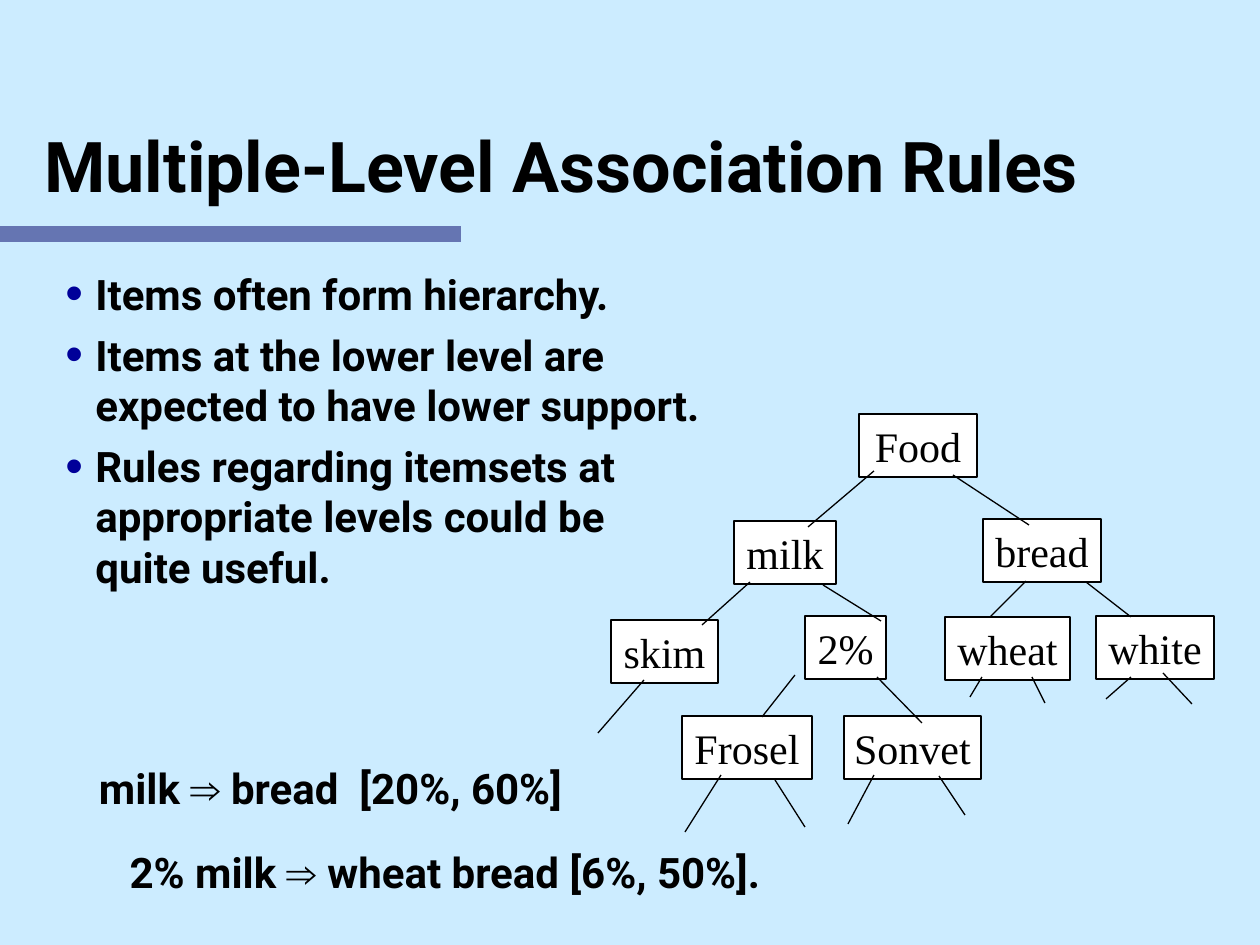
from pptx import Presentation
from pptx.dml.color import RGBColor
from pptx.enum.shapes import MSO_CONNECTOR as Link, MSO_SHAPE as Shape
from pptx.enum.text import MSO_ANCHOR as Anchor, MSO_AUTO_SIZE as Auto, PP_ALIGN as Align
from pptx.oxml.ns import qn
from pptx.util import Emu, Pt
from lxml.etree import SubElement

SCALE = 914400 / 126


def px(n):
    return Emu(round(n * SCALE))


def color(code):
    return RGBColor.from_string(code)


def setall(item, vals):
    for key, val in vals.items():
        setattr(item, key, val)


class Deck:
    ink = "000000"
    head = dict(name="Roboto", size=Pt(40), bold=True)
    body = dict(name="Roboto", size=Pt(24), bold=True)
    sign = dict(name="Arial", size=Pt(24), bold=True)
    node = dict(name="Times New Roman", size=Pt(24), bold=False)

    def __init__(self, wide, high):
        self.prs = Presentation()
        setall(self.prs, dict(slide_width=px(wide), slide_height=px(high)))

    def page(self, back):
        self.slide = self.prs.slides.add_slide(self.prs.slide_layouts[5])
        fill = self.slide.background.fill
        fill.solid()
        fill.fore_color.rgb = color(back)

    def run(self, para, text, font):
        run = para.add_run()
        run.text = text
        setall(run.font, font)
        run.font.color.rgb = color(self.ink)

    def title(self, text, x, y, w, h):
        box = self.slide.shapes.title
        setall(box, dict(left=px(x), top=px(y), width=px(w), height=px(h)))
        setall(box.text_frame, dict(auto_size=Auto.NONE, vertical_anchor=Anchor.MIDDLE))
        para = box.text_frame.paragraphs[0]
        para.alignment = Align.LEFT
        self.run(para, text, self.head)

    def rect(self, x, y, w, h, fill):
        box = self.slide.shapes.add_shape(Shape.RECTANGLE, px(x), px(y), px(w), px(h))
        box.shadow.inherit = False
        box.fill.solid()
        box.fill.fore_color.rgb = color(fill)
        return box

    def bar(self, x, y, w, h, fill, alpha):
        box = self.rect(x, y, w, h, fill)
        box.line.fill.background()
        tone = box.fill._xPr.find(qn("a:solidFill"))[0]
        SubElement(tone, qn("a:alpha"), val=str(alpha * 1000))

    def label(self, text, x, y, w, h=63):
        box = self.rect(x, y, w, h, "FFFFFF")
        box.line.color.rgb = color(self.ink)
        box.line.width = Pt(0.75)
        setall(box.text_frame, dict(word_wrap=False, vertical_anchor=Anchor.MIDDLE))
        para = box.text_frame.paragraphs[0]
        para.alignment = Align.CENTER
        self.run(para, text, self.node)

    def line(self, *ends):
        link = self.slide.shapes.add_connector(Link.STRAIGHT, *map(px, ends))
        link.line.color.rgb = color(self.ink)
        link.line.width = Pt(0.75)
        SubElement(link._element.spPr, qn("a:effectLst"))

    def frame(self, x, y, w, h):
        box = self.slide.shapes.add_textbox(px(x), px(y), px(w), px(h))
        box.text_frame.word_wrap = True
        return box.text_frame

    def bullets(self, items, x, y, w, h):
        frame = self.frame(x, y, w, h)
        for i, lines in enumerate(items):
            para = frame.add_paragraph() if i else frame.paragraphs[0]
            para.space_before = Pt(6)
            for j, text in enumerate(lines):
                if j:
                    para.add_line_break()
                self.run(para, text, self.body)
            props = para._p.get_or_add_pPr()
            props.set("marL", str(px(30)))
            props.set("indent", str(-px(30)))
            tint = SubElement(props, qn("a:buClr"))
            SubElement(tint, qn("a:srgbClr"), val="000099")
            SubElement(props, qn("a:buSzPct"), val="120000")
            SubElement(props, qn("a:buFont"), typeface="Arial")
            SubElement(props, qn("a:buChar"), char="•")

    def rule(self, left, right, x, y, w, h=63):
        para = self.frame(x, y, w, h).paragraphs[0]
        setall(para, dict(alignment=Align.CENTER, space_before=Pt(6)))
        self.run(para, left + " ", self.body)
        self.run(para, "⇒", self.sign)
        self.run(para, " " + right, self.body)


NODES = [
    ("Food", 859, 414, 118),
    ("milk", 734, 521, 102), ("bread", 983, 519, 118),
    ("skim", 611, 620, 107), ("2%", 805, 616, 81),
    ("wheat", 945, 617, 125), ("white", 1096, 616, 118),
    ("Frosel", 682, 716, 130), ("Sonvet", 844, 716, 137),
]

BRANCHES = [
    # Food to milk and bread
    (874, 471, 808, 527), (953, 475, 1029, 525),
    # Milk and bread to their kinds
    (750, 582, 702, 625), (823, 585, 881, 621),
    (1026, 581, 990, 617), (1086, 582, 1131, 617),
    # 2% to its makers
    (795, 675, 762, 717), (877, 677, 922, 723),
    # Open ends
    (644, 680, 598, 733),
    (721, 775, 685, 832), (775, 780, 805, 827),
    (874, 775, 848, 824), (939, 776, 965, 815),
    (982, 677, 970, 697), (1032, 677, 1045, 703),
    (1131, 677, 1106, 699), (1163, 673, 1192, 704),
]

POINTS = [
    ["Items often form hierarchy."],
    ["Items at the lower level are", "expected to have lower support."],
    ["Rules regarding itemsets at appropriate levels could be quite useful."],
]


def main():
    deck = Deck(1260, 945)
    deck.page("CCECFF")

    # Heading
    deck.bar(0, 226, 461, 16, "000066", 50)
    deck.title("Multiple-Level Association Rules", 32, 116, 1228, 97)

    # Key points
    deck.bullets(POINTS, 53, 262, 662, 387)

    # Item tree
    for node in NODES:
        deck.label(*node)
    for branch in BRANCHES:
        deck.line(*branch)

    # Sample rules
    deck.rule("milk", "bread  [20%, 60%]", 60, 756, 541)
    deck.rule("2% milk", "wheat bread [6%, 50%].", 79, 840, 732)

    deck.prs.save("out.pptx")


if __name__ == "__main__":
    main()
